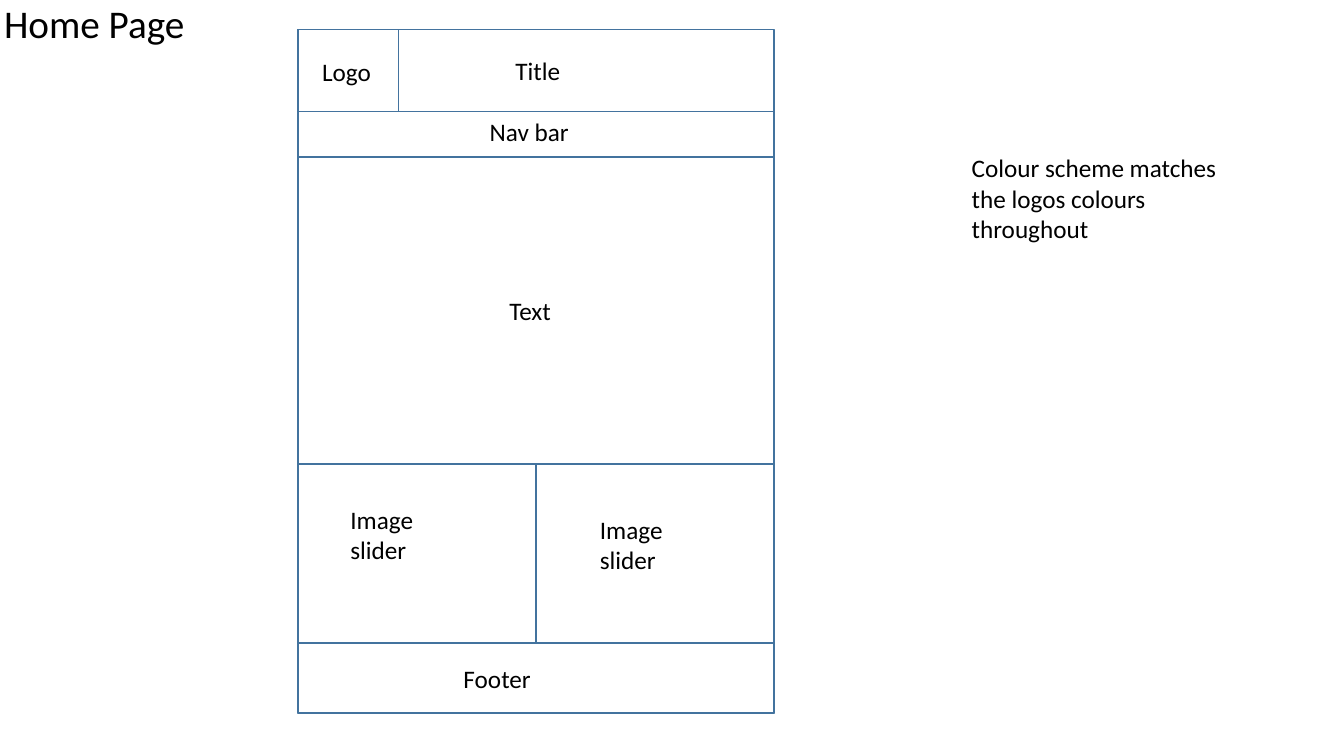
from pptx import Presentation
from pptx.dml.color import RGBColor
from pptx.enum.shapes import MSO_SHAPE
from pptx.enum.text import MSO_ANCHOR, MSO_AUTO_SIZE, PP_ALIGN
from pptx.util import Pt

RECTANGLE = MSO_SHAPE.RECTANGLE
LEFT = PP_ALIGN.LEFT
TOP, MIDDLE = MSO_ANCHOR.TOP, MSO_ANCHOR.MIDDLE
NO_FIT, GROW = MSO_AUTO_SIZE.NONE, MSO_AUTO_SIZE.SHAPE_TO_FIT_TEXT

# Content
HEADING = "Home Page"
HEADING_BOX = (-4.3, -33.8, 828, 104.4)

# Page bands from top to bottom: height, width of the outlined cell
PAGE_LEFT, PAGE_TOP, PAGE_WIDTH = 213, 21, 340
BANDS = [
    (58.5, 71.5),            # logo and title
    (32.75, PAGE_WIDTH),     # nav bar
    (219.25, PAGE_WIDTH),    # text
    (127.75, PAGE_WIDTH / 2),  # image sliders
    (50, PAGE_WIDTH),        # footer
]

# Label, left, top, width, height
LABELS = [
    ("Logo", 223, 36.7, 51, 29),
    ("Title", 361, 36, 218, 29),
    ("Nav bar", 342.7, 79.5, 71.5, 29),
    ("Text", 356.7, 207.5, 52.5, 29),
    ("Footer", 324, 470.3, 108, 29),
    ("Image slider", 243.2, 356.6, 96.5, 51),
    ("Image slider", 421.4, 364, 96.5, 51),
    ("Colour scheme matches the logos colours throughout", 687, 105.5, 192, 72.7),
]

THEME = {
    "font": "Calibri",
    "text": RGBColor(0x00, 0x00, 0x00),
    "outline": RGBColor(0x43, 0x73, 0x9E),
    "outline_width": 1,
    "heading_size": 28,
    "label_size": 18,
}

presentation = Presentation()
presentation.slide_width, presentation.slide_height = Pt(960), Pt(540)
slide = presentation.slides.add_slide(presentation.slide_layouts[5])


def write(holder, text, *, size, anchor=TOP, fit=GROW, line_spacing=None):
    frame = holder.text_frame
    frame.word_wrap = True
    frame.auto_size = fit
    frame.vertical_anchor = anchor
    paragraph = frame.paragraphs[0]
    paragraph.alignment = LEFT
    paragraph.line_spacing = line_spacing
    run = paragraph.add_run()
    run.text = text
    run.font.name = THEME["font"]
    run.font.size = Pt(size)
    run.font.color.rgb = THEME["text"]


def outline(left, top, width, height):
    cell = slide.shapes.add_shape(RECTANGLE, Pt(left), Pt(top), Pt(width), Pt(height))
    cell.shadow.inherit = False
    cell.fill.background()
    cell.line.color.rgb = THEME["outline"]
    cell.line.width = Pt(THEME["outline_width"])


# Heading
heading = slide.shapes.title
heading.left, heading.top, heading.width, heading.height = map(Pt, HEADING_BOX)
write(heading, HEADING, size=THEME["heading_size"], anchor=MIDDLE, fit=NO_FIT,
      line_spacing=0.9)

# Page frame and its bands
outline(PAGE_LEFT, PAGE_TOP, PAGE_WIDTH, sum(height for height, _ in BANDS))
band_top = PAGE_TOP
for band_height, cell_width in BANDS:
    outline(PAGE_LEFT, band_top, cell_width, band_height)
    band_top += band_height

# Labels and the side note
for label, *box in LABELS:
    label_box = slide.shapes.add_textbox(*map(Pt, box))
    write(label_box, label, size=THEME["label_size"])

presentation.save("out.pptx")
